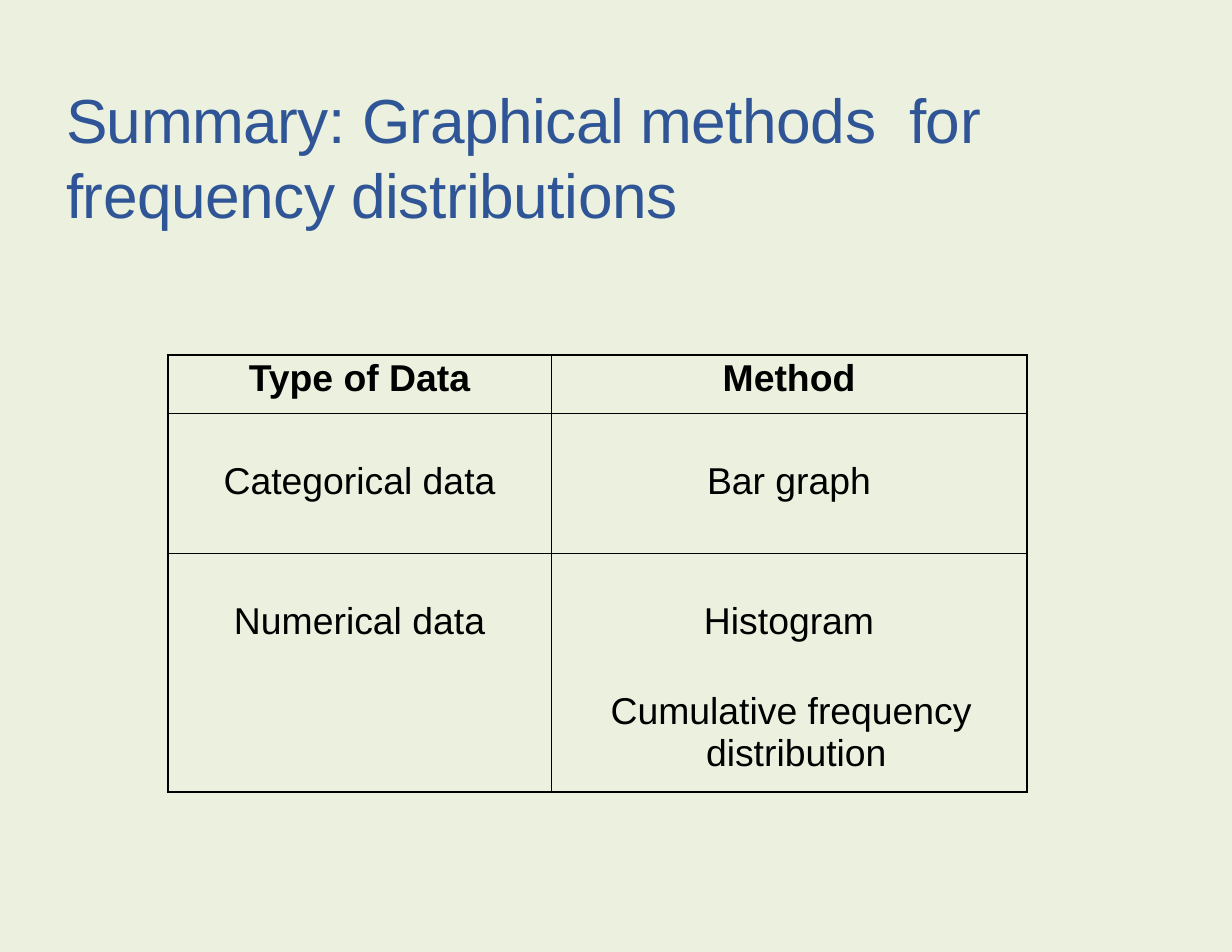
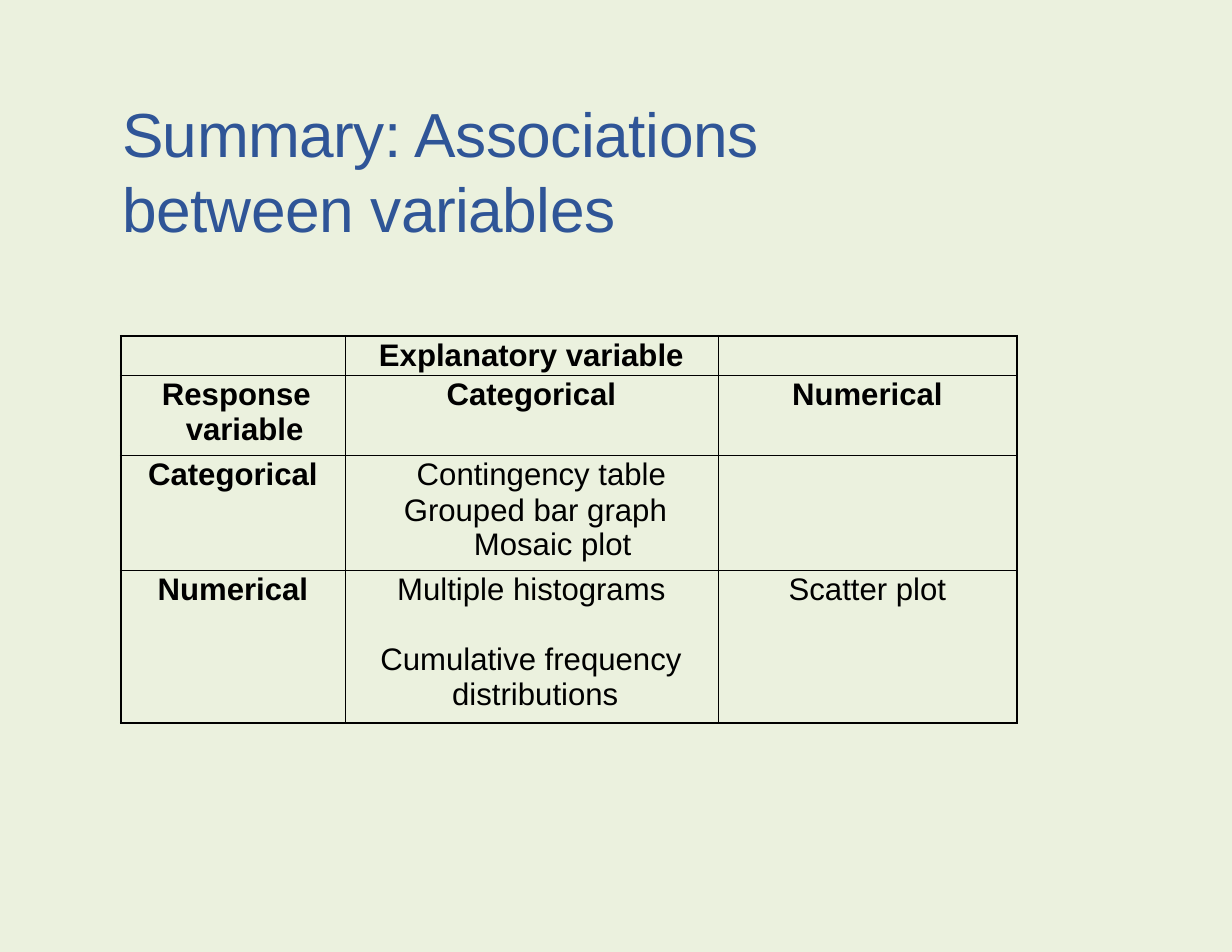
from lxml import etree
from pptx import Presentation
from pptx.dml.color import RGBColor
from pptx.enum.text import MSO_AUTO_SIZE, PP_ALIGN
from pptx.oxml.ns import qn
from pptx.util import Inches, Pt

BACKGROUND = RGBColor(0xEB, 0xF1, 0xDE)
TITLE_BLUE = RGBColor(0x2F, 0x55, 0x97)
BLACK = RGBColor(0, 0, 0)
CENTER = PP_ALIGN.CENTER
FIT_SHAPE = MSO_AUTO_SIZE.SHAPE_TO_FIT_TEXT
FONT = "Arial"
TITLE_SIZE = 40
TITLE_TRACKING = -30
OUTER_LINE, INNER_LINE = 1.5, 0.5
CELL_INSET = 0.02


def format_paragraph(paragraph, size, color, bold=False, left=0, indent=0, space_before=0):
    paragraph.space_before = Pt(space_before)
    properties = paragraph._p.get_or_add_pPr()
    properties.set("marL", str(Inches(left)))
    properties.set("indent", str(Inches(indent)))
    for run in paragraph.runs:
        run.font.name = FONT
        run.font.size = Pt(size)
        run.font.bold = bold
        run.font.color.rgb = color


def add_border(cell, side, points):
    """Draw one cell side; call in the order L, R, T, B."""
    line = etree.SubElement(cell._tc.get_or_add_tcPr(), qn("a:ln" + side), w=str(Pt(points)))
    fill = etree.SubElement(line, qn("a:solidFill"))
    etree.SubElement(fill, qn("a:srgbClr"), val=str(BLACK))


# A cell is a list of paragraphs: (text, left indent, first-line indent, space before).
# "drop" is the extra space above the text of each row.
SLIDES = [
    {
        "title": "Summary: Graphical methods  for frequency distributions",
        "title_box": (0.58, 0.67, 9.08, 1.4),
        "title_inset": 0.06,
        "title_space": 4.2,
        "table_corner": (1.5, 3.17),
        "columns": [3.42, 4.25],
        "rows": [0.52, 1.25, 2.13],
        "drop": [0, 0.4, 0.4],
        "size": 24,
        "header_rows": 1,
        "header_columns": 0,
        "cells": [
            [[("Type of Data", 0, 0, 0)], [("Method", 0, 0, 0)]],
            [[("Categorical data", 0, 0, 0)], [("Bar graph", 0, 0, 0)]],
            [[("Numerical data", 0, 0, 0)],
             [("Histogram", 0, 0, 0),
              ("Cumulative frequency  distribution", 0.13, 0, 31.5)]],
        ],
    },
    {
        "title": "Summary: Associations between variables",
        "title_box": (1.08, 0.83, 7.67, 1.36),
        "title_inset": 0.02,
        "title_space": 1.1,
        "table_corner": (1.08, 3),
        "columns": [2, 3.33, 2.67],
        "rows": [0.35, 0.71, 1.03, 1.36],
        "drop": [0, 0, 0, 0],
        "size": 20,
        "header_rows": 2,
        "header_columns": 1,
        "cells": [
            [[], [("Explanatory variable", 0, 0, 0)], []],
            [[("Response  variable", 0.21, -0.07, 0)],
             [("Categorical", 0, 0, 0)],
             [("Numerical", 0, 0, 0)]],
            [[("Categorical", 0, 0, 0)],
             [("Contingency table", 0.15, 0.03, 0),
              ("Grouped bar graph  Mosaic plot", 0.38, -0.23, 0.6)],
             []],
            [[("Numerical", 0, 0, 0)],
             [("Multiple histograms", 0, 0, 0),
              ("Cumulative frequency  distributions", 0.07, 0, 22.5)],
             [("Scatter plot", 0, 0, 0)]],
        ],
    },
]

presentation = Presentation()
presentation.slide_width = Inches(11)
presentation.slide_height = Inches(8.5)

for content in SLIDES:
    slide = presentation.slides.add_slide(presentation.slide_layouts[6])
    slide.background.fill.solid()
    slide.background.fill.fore_color.rgb = BACKGROUND

    title = slide.shapes.add_textbox(*map(Inches, content["title_box"]))
    text_frame = title.text_frame
    text_frame.word_wrap = True
    text_frame.auto_size = FIT_SHAPE
    text_frame.margin_left = text_frame.margin_right = text_frame.margin_bottom = 0
    text_frame.margin_top = Inches(content["title_inset"])
    text_frame.text = content["title"]
    paragraph = text_frame.paragraphs[0]
    format_paragraph(paragraph, TITLE_SIZE, TITLE_BLUE, left=0.01,
                     space_before=content["title_space"])
    paragraph.runs[0].font._element.set("spc", str(TITLE_TRACKING))

    columns, rows = content["columns"], content["rows"]
    left, top = content["table_corner"]
    table = slide.shapes.add_table(len(rows), len(columns), Inches(left), Inches(top),
                                   Inches(sum(columns)), Inches(sum(rows))).table
    table.first_row = table.horz_banding = False
    for column, width in zip(table.columns, columns):
        column.width = Inches(width)
    for row, height in zip(table.rows, rows):
        row.height = Inches(height)

    for row_index, row_cells in enumerate(content["cells"]):
        for column_index, paragraphs in enumerate(row_cells):
            cell = table.cell(row_index, column_index)
            cell.margin_left = cell.margin_right = cell.margin_bottom = 0
            cell.margin_top = Inches(CELL_INSET + content["drop"][row_index])
            on_edge = {
                "L": column_index == 0,
                "R": column_index == len(columns) - 1,
                "T": row_index == 0,
                "B": row_index == len(rows) - 1,
            }
            for side, is_outer in on_edge.items():
                add_border(cell, side, OUTER_LINE if is_outer else INNER_LINE)
            cell.fill.background()

            bold = (row_index < content["header_rows"]
                    or column_index < content["header_columns"])
            cell.text_frame.text = "\n".join(text for text, *_ in paragraphs)
            for paragraph, (_, *spacing) in zip(cell.text_frame.paragraphs, paragraphs):
                paragraph.alignment = CENTER
                format_paragraph(paragraph, content["size"], BLACK, bold, *spacing)

presentation.save("out.pptx")
